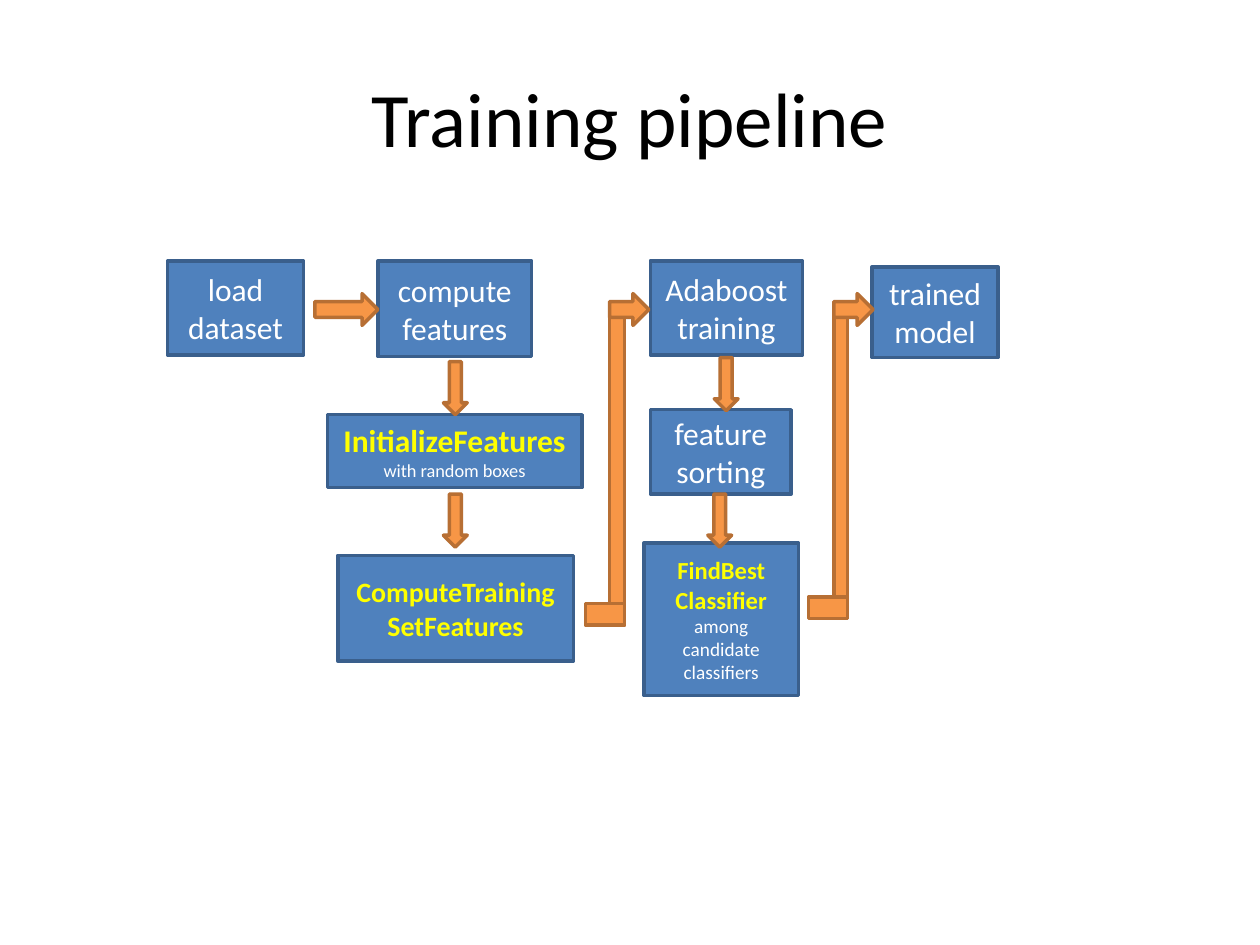
from pptx import Presentation
from pptx.dml.color import RGBColor
from pptx.enum.shapes import MSO_SHAPE as SHAPE
from pptx.enum.text import MSO_ANCHOR as ANCHOR, PP_ALIGN as ALIGN
from pptx.util import Cm, Pt

# Content: lengths in cm
COLORS = {"box": "4F81BD", "box_line": "3A5F8C", "arrow": "F79646",
          "arrow_line": "B76F34", "text": "FFFFFF", "key": "FFFF00",
          "title": "000000"}
FONT = "Calibri"
TITLE = "Training pipeline"

# Steps: place, then lines of (text, size, is a key name)
STEPS = [
    ((3.38, 5.26, 2.74, 1.9), [("load dataset", 18, False)]),
    ((7.62, 5.26, 3.1, 1.93), [("compute features", 18, False)]),
    ((6.6, 8.36, 5.13, 1.47), [("InitializeFeatures", 18, True),
                               ("with random boxes", 10.5, False)]),
    ((6.81, 11.2, 4.75, 2.13), [("ComputeTraining", 16, True),
                                ("SetFeatures", 16, True)]),
    ((13.11, 5.26, 3.07, 1.9), [("Adaboost", 18, False),
                                ("training", 18, False)]),
    ((13.11, 8.26, 2.84, 1.7), [("feature sorting", 18, False)]),
    ((12.98, 10.95, 3.12, 3.07), [("FindBest", 14, True),
                                  ("Classifier", 14, True),
                                  ("among candidate", 11, False),
                                  ("classifiers", 11, False)]),
    ((17.58, 5.38, 2.54, 1.83), [("trained", 18, False),
                                 ("model", 18, False)]),
]
DOWN_ARROWS = [(8.94, 7.29), (8.94, 9.96), (14.4, 7.21), (14.27, 9.96)]
# Bent arrows: left of riser, its top, width and bottom
BENDS = [(12.29, 6.25, 0.3, 12.6), (16.81, 6.3, 0.28, 12.47)]
ARROW_TOP, ARROW_H = 5.92, 0.64
FOOT_W, FOOT_H = 0.79, 0.43

prs = Presentation()
prs.slide_width, prs.slide_height = Cm(25.4), Cm(19.05)
slide = prs.slides.add_slide(prs.slide_layouts[6])


def rgb(name):
    return RGBColor.from_string(COLORS[name])


def add_shape(kind, place, color):
    sp = slide.shapes.add_shape(kind, *map(Cm, place))
    sp.shadow.inherit = False
    sp.fill.solid()
    sp.fill.fore_color.rgb = rgb(color)
    sp.line.color.rgb = rgb(color + "_line")
    sp.line.width = Pt(2)
    return sp


def write(sp, lines):
    tf = sp.text_frame
    tf.word_wrap = True
    tf.vertical_anchor = ANCHOR.MIDDLE
    tf.text = "\n".join(text for text, *_ in lines)
    for p, (_, size, color, bold) in zip(tf.paragraphs, lines):
        p.alignment = ALIGN.CENTER
        font = p.runs[0].font
        font.name, font.size, font.bold = FONT, Pt(size), bold
        font.color.rgb = rgb(color)


# Title
title = slide.shapes.add_textbox(Cm(1.27), Cm(0.76), Cm(22.86), Cm(3.18))
write(title, [(TITLE, 44, "title", False)])

# Steps
for place, lines in STEPS:
    write(add_shape(SHAPE.RECTANGLE, place, "box"),
          [(text, size, "key" if key else "text", key)
           for text, size, key in lines])

# Straight arrows
add_shape(SHAPE.RIGHT_ARROW, (6.35, ARROW_TOP, 1.27, ARROW_H), "arrow")
for left, top in DOWN_ARROWS:
    add_shape(SHAPE.DOWN_ARROW, (left, top, 0.48, 1.07), "arrow")

# Bent arrows: riser, head and foot
for left, top, width, bottom in BENDS:
    add_shape(SHAPE.RECTANGLE, (left, top, width, bottom - top), "arrow")
    add_shape(SHAPE.RIGHT_ARROW, (left, ARROW_TOP, 0.79, ARROW_H), "arrow")
    add_shape(SHAPE.RECTANGLE, (left + width - FOOT_W, bottom - FOOT_H,
                                FOOT_W, FOOT_H), "arrow")

prs.save("out.pptx")
